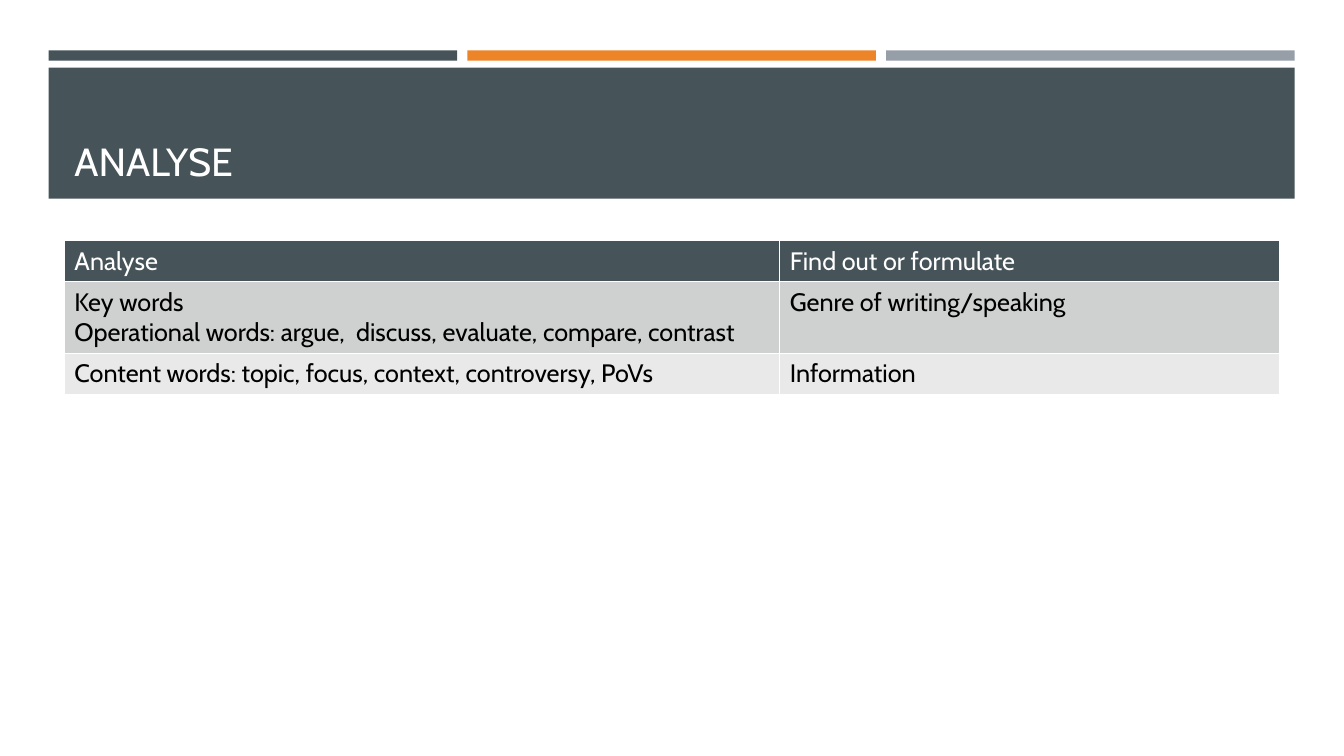
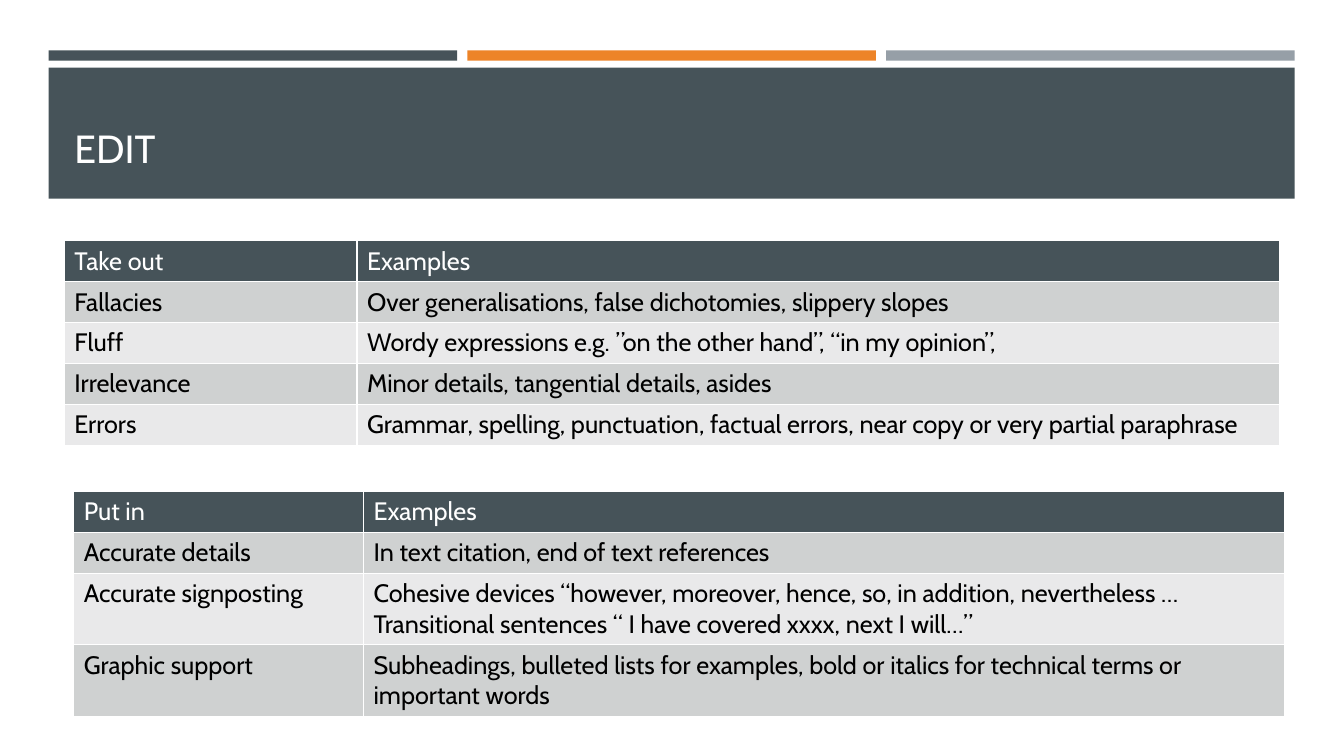
import dataclasses

import pptx
import pptx.dml.color
import pptx.enum.shapes
import pptx.enum.text
import pptx.oxml
import pptx.oxml.ns
import pptx.util

Pt = pptx.util.Pt
Color = pptx.dml.color.RGBColor.from_string


@dataclasses.dataclass(frozen=True)
class Theme:
    """Colours, font and type sizes shared by the slides."""

    slate: str = "465359"
    orange: str = "ED8428"
    grey: str = "969FA7"
    odd_row: str = "CFD1D1"
    even_row: str = "E9E9EA"
    white: str = "FFFFFF"
    black: str = "000000"
    font: str = "Cabin"
    title_size: float = 28
    table_size: float = 18


@dataclasses.dataclass(frozen=True)
class Box:
    """A rectangle in points."""

    left: float
    top: float
    width: float
    height: float

    def lengths(self):
        """Return the four lengths for python-pptx."""
        return [Pt(value) for value in dataclasses.astuple(self)]


THEME = Theme()
HEADER_BOX = Box(34.8, 36, 890, 106)
ROW_HEIGHT = 29.2

ANALYSE_ROWS = [
    ("Analyse", "Find out or formulate"),
    ("Key words\nOperational words: argue,  discuss, evaluate, compare, contrast",
     "Genre of writing/speaking"),
    ("Content words: topic, focus, context, controversy, PoVs", "Information"),
]
TAKE_OUT_ROWS = [
    ("Take out", "Examples"),
    ("Fallacies", "Over generalisations, false dichotomies, slippery slopes"),
    ("Fluff", "Wordy expressions e.g. ”on the other hand”, “in my opinion”,"),
    ("Irrelevance", "Minor details, tangential details, asides"),
    ("Errors", "Grammar, spelling, punctuation, factual errors, near copy or very partial paraphrase"),
]
PUT_IN_ROWS = [
    ("Put in", "Examples"),
    ("Accurate details", "In text citation, end of text references"),
    ("Accurate signposting",
     "Cohesive devices “however, moreover, hence, so, in addition, nevertheless …\n"
     "Transitional sentences “ I have covered xxxx, next I will…”"),
    ("Graphic support",
     "Subheadings, bulleted lists for examples, bold or italics for technical terms or important words"),
]


def set_font(paragraph, size, color):
    """Give a paragraph the theme font in one size and colour."""
    paragraph.font.name = THEME.font
    paragraph.font.size = Pt(size)
    paragraph.font.bold = False
    paragraph.font.color.rgb = Color(color)


def add_band(slide, box, color):
    """Add a plain filled rectangle."""
    band = slide.shapes.add_shape(pptx.enum.shapes.MSO_SHAPE.RECTANGLE, *box.lengths())
    band.shadow.inherit = False
    band.fill.solid()
    band.fill.fore_color.rgb = Color(color)
    band.line.fill.background()
    return band


def add_header(slide, box):
    """Add three colour bars above the title panel."""
    gap, bar_height, panel_offset = 7.4, 7.4, 12.4
    colors = (THEME.slate, THEME.orange, THEME.grey)
    bar_width = (box.width - gap * (len(colors) - 1)) / len(colors)
    bands = [
        add_band(slide, Box(box.left + index * (bar_width + gap), box.top, bar_width, bar_height), color)
        for index, color in enumerate(colors)
    ]
    panel = Box(box.left, box.top + panel_offset, box.width, box.height - panel_offset)
    bands.append(add_band(slide, panel, THEME.slate))
    for band in bands:
        slide.shapes.element.remove(band.element)
        slide.shapes.element.insert(2, band.element)


def add_titled_slide(presentation, title, title_top):
    """Add a title-only slide with the shared header."""
    slide = presentation.slides.add_slide(presentation.slide_layouts[5])
    add_header(slide, HEADER_BOX)
    shape = slide.shapes.title
    shape.left, shape.top, shape.width, shape.height = Box(46, title_top, 868, 80).lengths()
    frame = shape.text_frame
    frame.text = title
    frame.auto_size = pptx.enum.text.MSO_AUTO_SIZE.NONE
    frame.vertical_anchor = pptx.enum.text.MSO_ANCHOR.BOTTOM
    paragraph = frame.paragraphs[0]
    paragraph.alignment = pptx.enum.text.PP_ALIGN.LEFT
    set_font(paragraph, THEME.title_size, THEME.white)
    return slide


def set_borders(cell):
    """Draw thin white lines on all sides of a cell."""
    properties = cell._tc.get_or_add_tcPr()
    for side in "LRTB":
        properties.append(pptx.oxml.parse_xml(
            f'<a:ln{side} {pptx.oxml.ns.nsdecls("a")} w="12700"><a:solidFill>'
            f'<a:srgbClr val="{THEME.white}"/></a:solidFill></a:ln{side}>'))


def row_colors(row_index):
    """Return the fill and text colours of a table row."""
    if row_index == 0:
        return THEME.slate, THEME.white
    return (THEME.odd_row if row_index % 2 else THEME.even_row), THEME.black


def add_banded_table(slide, left, top, column_widths, rows):
    """Add a table with a dark header row and alternating body rows."""
    box = Box(left, top, sum(column_widths), ROW_HEIGHT * len(rows))
    table = slide.shapes.add_table(len(rows), len(column_widths), *box.lengths()).table
    for column, width in zip(table.columns, column_widths):
        column.width = Pt(width)
    for row_index, texts in enumerate(rows):
        fill, color = row_colors(row_index)
        table.rows[row_index].height = Pt(ROW_HEIGHT)
        for cell, text in zip(table.rows[row_index].cells, texts):
            cell.text = text
            set_borders(cell)
            cell.fill.solid()
            cell.fill.fore_color.rgb = Color(fill)
            for paragraph in cell.text_frame.paragraphs:
                set_font(paragraph, THEME.table_size, color)


def add_analyse_slide(presentation):
    """Add the slide on analysing a task."""
    slide = add_titled_slide(presentation, "ANALYSE", 55.4)
    add_banded_table(slide, 46, 172, (511, 357), ANALYSE_ROWS)


def add_edit_slide(presentation):
    """Add the slide on what to take out and put in."""
    slide = add_titled_slide(presentation, "EDIT", 46)
    add_banded_table(slide, 46, 172, (209, 659), TAKE_OUT_ROWS)
    add_banded_table(slide, 52.7, 351, (207, 657.6), PUT_IN_ROWS)


def main():
    """Build and save the presentation."""
    presentation = pptx.Presentation()
    presentation.slide_width, presentation.slide_height = Pt(960), Pt(540)
    add_analyse_slide(presentation)
    add_edit_slide(presentation)
    presentation.save("out.pptx")


if __name__ == "__main__":
    main()
